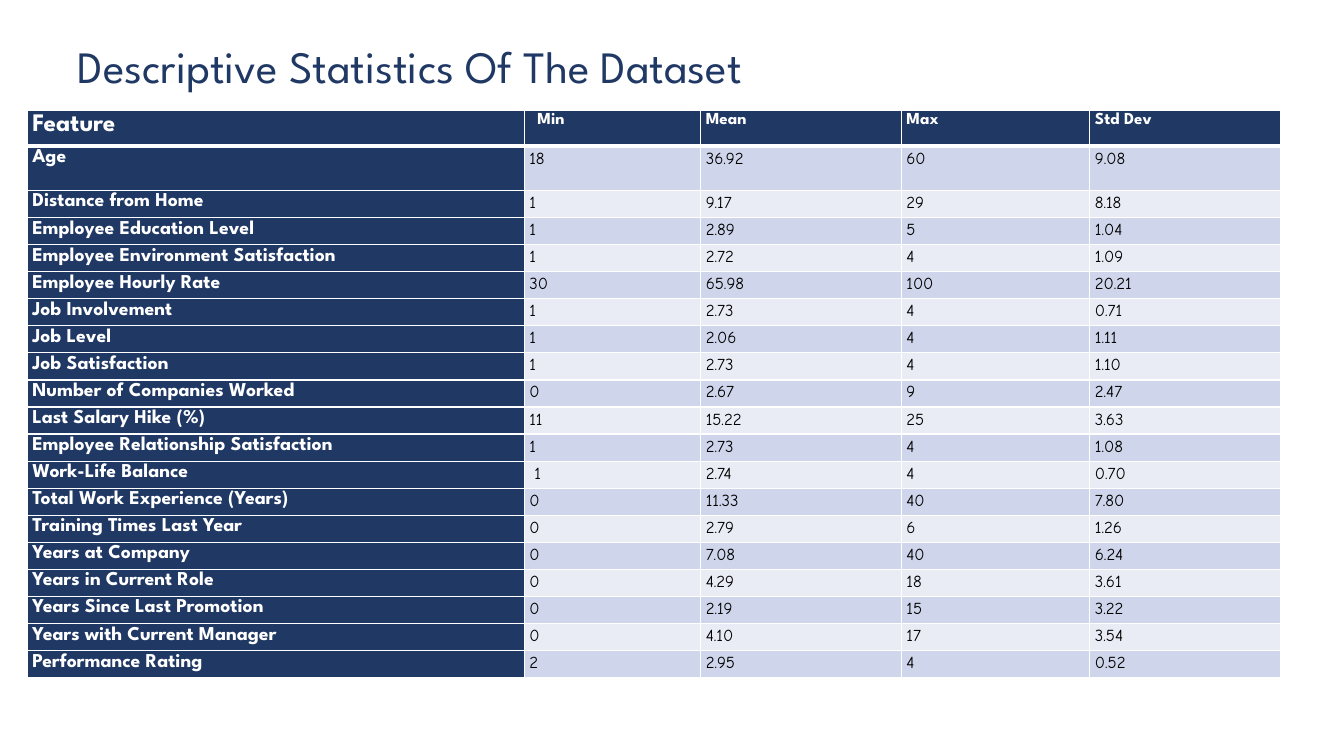
"""Build the slide with the descriptive statistics of the dataset."""
from lxml.etree import SubElement
from pptx import Presentation
from pptx.dml.color import RGBColor
from pptx.enum.text import MSO_ANCHOR, MSO_AUTO_SIZE, PP_ALIGN
from pptx.oxml.ns import qn
from pptx.util import Inches, Pt

NAVY = RGBColor(0x20, 0x38, 0x64)
WHITE = RGBColor(0xFF, 0xFF, 0xFF)
BLACK = RGBColor(0x00, 0x00, 0x00)
BAND_DARK = RGBColor(0xCF, 0xD5, 0xEA)
BAND_LIGHT = RGBColor(0xE9, 0xEB, 0xF5)

HEADINGS = ("Feature", "Min", "Mean", "Max", "Std Dev")
STATISTICS = [
    ("Age", "18", "36.92", "60", "9.08"),
    ("Distance from Home", "1", "9.17", "29", "8.18"),
    ("Employee Education Level", "1", "2.89", "5", "1.04"),
    ("Employee Environment Satisfaction", "1", "2.72", "4", "1.09"),
    ("Employee Hourly Rate", "30", "65.98", "100", "20.21"),
    ("Job Involvement", "1", "2.73", "4", "0.71"),
    ("Job Level", "1", "2.06", "4", "1.11"),
    ("Job Satisfaction", "1", "2.73", "4", "1.10"),
    ("Number of Companies Worked", "0", "2.67", "9", "2.47"),
    ("Last Salary Hike (%)", "11", "15.22", "25", "3.63"),
    ("Employee Relationship Satisfaction", "1", "2.73", "4", "1.08"),
    ("Work-Life Balance", "1", "2.74", "4", "0.70"),
    ("Total Work Experience (Years)", "0", "11.33", "40", "7.80"),
    ("Training Times Last Year", "0", "2.79", "6", "1.26"),
    ("Years at Company", "0", "7.08", "40", "6.24"),
    ("Years in Current Role", "0", "4.29", "18", "3.61"),
    ("Years Since Last Promotion", "0", "2.19", "15", "3.22"),
    ("Years with Current Manager", "0", "4.10", "17", "3.54"),
    ("Performance Rating", "2", "2.95", "4", "0.52"),
]
COLUMN_WIDTHS = (4.93, 1.75, 1.99, 1.87, 1.89)
ROW_HEIGHTS = [0.35, 0.44] + [0.26] * (len(STATISTICS) - 1)
INDENTS = {(0, 1): 0.13, (12, 1): 0.1}


class StatisticsSlide:
    """Holds the fonts and the current slide."""

    heading_font = "League Spartan"
    value_font = "Comic Neue"

    def __init__(self, presentation):
        """Add a slide with a title placeholder."""
        self.slide = presentation.slides.add_slide(presentation.slide_layouts[5])

    def format_run(self, run, font_name, size, color, bold=False):
        """Apply a font to a run."""
        run.font.name = font_name
        run.font.size = Pt(size)
        run.font.bold = bold
        run.font.color.rgb = color

    def title(self, text, left, top, width, height):
        """Place and format the title."""
        title = self.slide.shapes.title
        title.left, title.top = Inches(left), Inches(top)
        title.width, title.height = Inches(width), Inches(height)
        frame = title.text_frame
        frame.text = text
        frame.word_wrap = True
        frame.auto_size = MSO_AUTO_SIZE.SHAPE_TO_FIT_TEXT
        frame.vertical_anchor = MSO_ANCHOR.TOP
        heading = frame.paragraphs[0]
        heading.alignment = PP_ALIGN.LEFT
        self.format_run(heading.runs[0], self.heading_font, 32, NAVY)

    def borders(self, cell, widths):
        """Draw white cell borders with the given widths by side."""
        properties = cell._tc.get_or_add_tcPr()
        for side, width in widths.items():
            line = SubElement(properties, qn(f"a:ln{side}"), w=str(Pt(width)))
            fill = SubElement(line, qn("a:solidFill"))
            SubElement(fill, qn("a:srgbClr"), val=str(WHITE))

    def cell(self, cell, text, row, column):
        """Fill one cell according to its place in the table."""
        self.borders(cell, {"L": 1, "R": 1, "T": 3 if row == 1 else 1, "B": 1 if row else 3})
        is_heading = row == 0 or column == 0
        band = BAND_DARK if row % 2 else BAND_LIGHT
        cell.fill.solid()
        cell.fill.fore_color.rgb = NAVY if is_heading else band
        cell.margin_left = Inches(INDENTS.get((row, column), 0.05))
        cell.margin_right = Inches(0.05)
        cell.margin_top = cell.margin_bottom = Inches(0)
        cell.text_frame.text = text
        paragraph = cell.text_frame.paragraphs[0]
        paragraph.line_spacing = 1.15
        size = 12 if column else 14 if row else 18
        font_name = self.heading_font if is_heading else self.value_font
        color = WHITE if is_heading else BLACK
        self.format_run(paragraph.runs[0], font_name, size, color, is_heading)

    def table(self, rows, left, top):
        """Add the table of statistics."""
        table = self.slide.shapes.add_table(
            len(rows), len(COLUMN_WIDTHS), Inches(left), Inches(top),
            Inches(sum(COLUMN_WIDTHS)), Inches(sum(ROW_HEIGHTS))).table
        for column, width in zip(table.columns, COLUMN_WIDTHS):
            column.width = Inches(width)
        for row, height in zip(table.rows, ROW_HEIGHTS):
            row.height = Inches(height)
        for row, texts in enumerate(rows):
            for column, text in enumerate(texts):
                self.cell(table.cell(row, column), text, row, column)


def main():
    """Build and save the presentation."""
    presentation = Presentation()
    presentation.slide_width = Inches(13.33)
    presentation.slide_height = Inches(7.5)
    statistics = StatisticsSlide(presentation)
    statistics.title("Descriptive Statistics Of The Dataset", 0.67, 0.33, 11.25, 0.64)
    statistics.table([HEADINGS] + STATISTICS, 0.27, 1.1)
    presentation.save("out.pptx")


if __name__ == "__main__":
    main()
